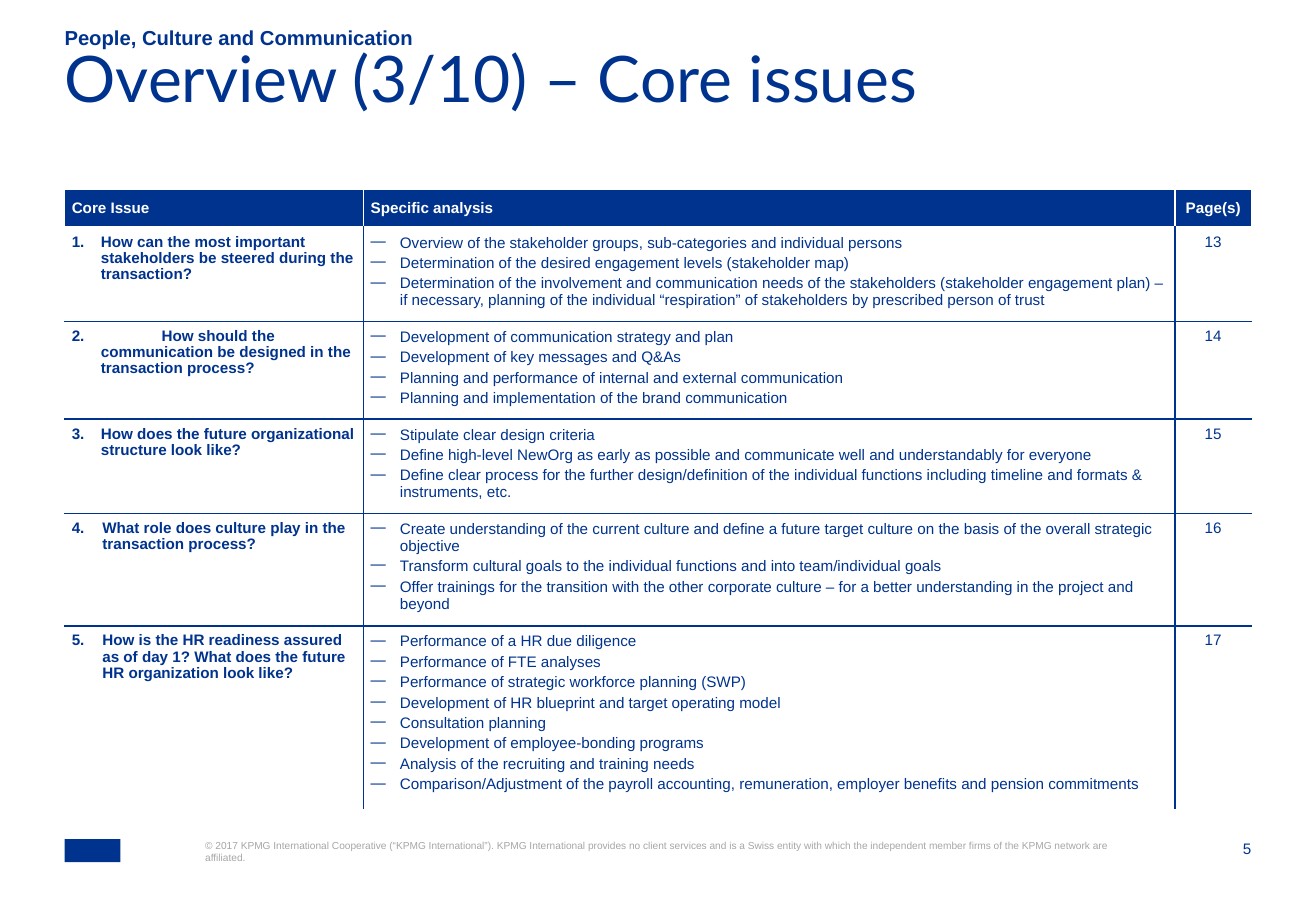
from dataclasses import dataclass

from lxml.etree import SubElement
from pptx import Presentation
from pptx.dml.color import RGBColor as Rgb
from pptx.enum.shapes import MSO_SHAPE as Shape
from pptx.enum.text import MSO_ANCHOR as Anchor, PP_ALIGN as Align
from pptx.oxml.ns import qn
from pptx.util import Cm, Pt


@dataclass(frozen=True)
class Theme:
    """Colours, fonts and type sizes of the slide."""
    blue: str = "00338D"
    white: str = "FFFFFF"
    grey: str = "A6A6A6"
    sans: str = "Arial"
    display: str = "Lato"
    title: float = 38
    lead: float = 12
    body: float = 9
    legal: float = 6


THEME = Theme()
LEFT, WIDTH = 1.35, 24.81
COLS = (6.25, 16.96, 1.6)
HEADS = ("Core Issue", "Specific analysis", "Page(s)")
FIRST_PAGE = 13
TYPED = 2
ISSUES = (
    ("How can the most important stakeholders be steered during the transaction?", 0.61, (
        "Overview of the stakeholder groups, sub-categories and individual persons",
        "Determination of the desired engagement levels (stakeholder map)",
        "Determination of the involvement and communication needs of the stakeholders "
        "(stakeholder engagement plan) – if necessary, planning of the individual "
        "“respiration” of stakeholders by prescribed person of trust")),
    ("How should the communication be designed in the transaction process?", 0.61, (
        "Development of communication strategy and plan",
        "Development of key messages and Q&As",
        "Planning and performance of internal and external communication",
        "Planning and implementation of the brand communication")),
    ("How does the future organizational structure look like?", 0.61, (
        "Stipulate clear design criteria",
        "Define high-level NewOrg as early as possible and communicate well and "
        "understandably for everyone",
        "Define clear process for the further design/definition of the individual "
        "functions including timeline and formats & instruments, etc.")),
    ("What role does culture play in the transaction process?", 0.64, (
        "Create understanding of the current culture and define a future target culture "
        "on the basis of the overall strategic objective",
        "Transform cultural goals to the individual functions and into team/individual goals",
        "Offer trainings for the transition with the other corporate culture – for a "
        "better understanding in the project and beyond")),
    ("How is the HR readiness assured as of day 1? "
     "What does the future HR organization look like?", 0.64, (
        "Performance of a HR due diligence",
        "Performance of FTE analyses",
        "Performance of strategic workforce planning (SWP)",
        "Development of HR blueprint and target operating model",
        "Consultation planning",
        "Development of employee-bonding programs",
        "Analysis of the recruiting and training needs",
        "Comparison/Adjustment of the payroll accounting, remuneration, employer "
        "benefits and pension commitments")),
)
LEGAL = ("© 2017 KPMG International Cooperative (“KPMG International”). KPMG International "
         "provides no client services and is a Swiss entity with which the independent "
         "member firms of the KPMG network are affiliated.")


def add_run(para, text, size=THEME.body, color=THEME.blue, bold=False, face=THEME.sans):
    """Add one styled run to a paragraph."""
    run = para.add_run()
    run.text = text
    font = run.font
    font.name, font.size, font.bold = face, Pt(size), bold
    font.color.rgb = Rgb.from_string(color)


def add_label(slide, box, text, align=Align.LEFT, anchor=Anchor.TOP, lead=None, **style):
    """Add a text box without insets that holds one paragraph."""
    frame = slide.shapes.add_textbox(*map(Cm, box)).text_frame
    frame.word_wrap = True
    frame.vertical_anchor = anchor
    frame.margin_left = frame.margin_top = frame.margin_right = frame.margin_bottom = 0
    para = frame.paragraphs[0]
    para.alignment, para.line_spacing = align, lead
    add_run(para, text, **style)


def add_mark(slide, box):
    """Add the plain block in the footer."""
    mark = slide.shapes.add_shape(Shape.RECTANGLE, *map(Cm, box))
    mark.shadow.inherit = False
    mark.fill.solid()
    mark.fill.fore_color.rgb = Rgb.from_string(THEME.blue)
    mark.line.fill.background()


def hang(para, depth):
    """Give a paragraph a hanging indent and return its properties."""
    props = para._p.get_or_add_pPr()
    props.set("marL", str(Cm(depth)))
    props.set("indent", str(-Cm(depth)))
    return props


def set_dash(para):
    """Give a paragraph a blue dash bullet."""
    props = hang(para, 0.61)
    tint = SubElement(props, qn("a:buClr"))
    SubElement(tint, qn("a:srgbClr"), val=THEME.blue)
    SubElement(props, qn("a:buChar"), char="—")


def set_count(para, num, depth):
    """Give a paragraph a number, or a tab stop where the number is typed."""
    props = hang(para, depth)
    if num == TYPED:
        SubElement(props, qn("a:buNone"))
    else:
        SubElement(props, qn("a:buAutoNum"), type="arabicPeriod", startAt=str(num))
    tabs = SubElement(props, qn("a:tabLst"))
    SubElement(tabs, qn("a:tab"), pos=str(Cm(0.48)), algn="l")


def set_cell(cell, row, col):
    """Set the insets, borders and fill of a table cell."""
    cell.margin_left = cell.margin_right = Cm(0.15)
    cell.margin_top = cell.margin_bottom = Cm(0.15)
    head = row == 0
    cell.vertical_anchor = Anchor.MIDDLE if head else Anchor.TOP
    outer = {"L": col == 0, "R": col == len(COLS) - 1,
             "T": row == 1, "B": row == len(ISSUES)}
    for side, edge in outer.items():
        line = SubElement(cell._tc.get_or_add_tcPr(), qn(f"a:ln{side}"), w=str(Pt(1)))
        fill = SubElement(line, qn("a:solidFill"))
        SubElement(fill, qn("a:srgbClr"), val=THEME.white if head or edge else THEME.blue)
    if head:
        cell.fill.solid()
        cell.fill.fore_color.rgb = Rgb.from_string(THEME.blue)
    else:
        cell.fill.background()


def fill_row(cells, num, issue, depth, steps):
    """Write one core issue, its analysis steps and its page."""
    name, work, page = (cell.text_frame for cell in cells)
    para = name.paragraphs[0]
    para.line_spacing, para.space_after = 0.95, Pt(2)
    set_count(para, num, depth)
    add_run(para, f"{num}. \t\t{issue}" if num == TYPED else issue, bold=True)
    for pos, step in enumerate(steps):
        para = work.add_paragraph() if pos else work.paragraphs[0]
        para.space_after = Pt(2)
        set_dash(para)
        add_run(para, step)
    para = page.paragraphs[0]
    para.alignment, para.line_spacing, para.space_after = Align.CENTER, 0.95, Pt(2)
    add_run(para, str(FIRST_PAGE + num - 1))


def add_grid(slide):
    """Add the table of core issues."""
    count = len(ISSUES)
    box = map(Cm, (LEFT, 3.96, WIDTH, 0.79 + 1.7 * count))
    table = slide.shapes.add_table(count + 1, len(COLS), *box).table
    table.horz_banding = False
    for col, width in zip(table.columns, COLS):
        col.width = Cm(width)
    for num, row in enumerate(table.rows):
        row.height = Cm(1.7 if num else 0.79)
        for pos, cell in enumerate(row.cells):
            set_cell(cell, num, pos)
    for pos, text in enumerate(HEADS):
        para = table.cell(0, pos).text_frame.paragraphs[0]
        para.line_spacing = 0.95
        para.alignment = Align.CENTER if pos == len(HEADS) - 1 else Align.LEFT
        add_run(para, text, color=THEME.white, bold=True)
    for num, issue in enumerate(ISSUES, 1):
        fill_row(table.rows[num].cells, num, *issue)


def main():
    """Build the slide and save it."""
    deck = Presentation()
    deck.slide_width, deck.slide_height = Cm(27.51), Cm(19.05)
    slide = deck.slides.add_slide(deck.slide_layouts[6])
    add_label(slide, (LEFT, 0.56, 23.88, 0.48), "People, Culture and Communication",
              anchor=Anchor.BOTTOM, size=THEME.lead, bold=True)
    add_label(slide, (LEFT, 1.24, WIDTH, 2), "Overview (3/10) – Core issues",
              lead=0.7, size=THEME.title, face=THEME.display)
    add_grid(slide)
    add_mark(slide, (LEFT, 17.55, 1.17, 0.48))
    add_label(slide, (4.29, 17.55, 19.02, 1.04), LEGAL, size=THEME.legal, color=THEME.grey)
    add_label(slide, (25.07, 17.55, 1.09, 0.41), "5", align=Align.RIGHT)
    deck.save("out.pptx")


if __name__ == "__main__":
    main()
